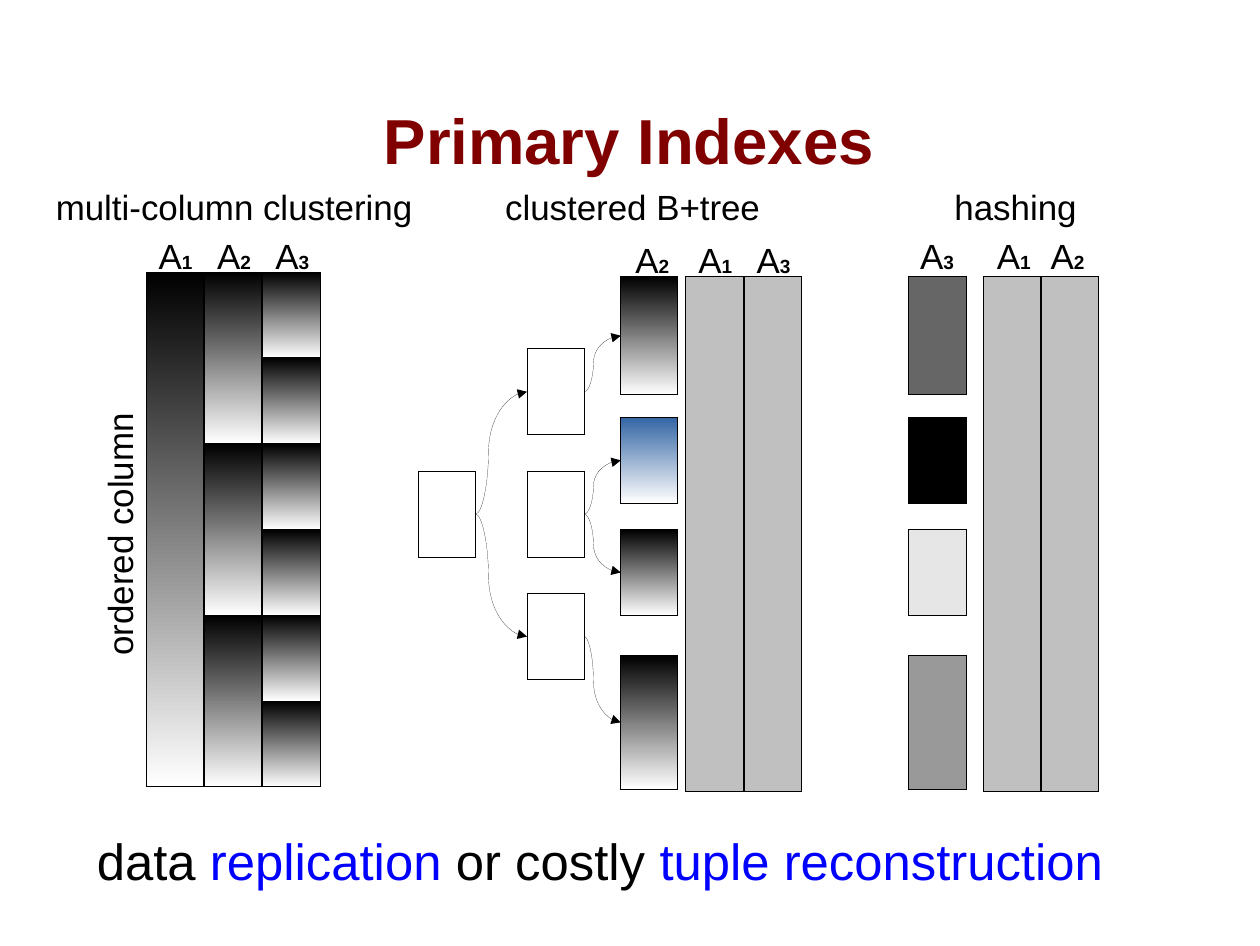
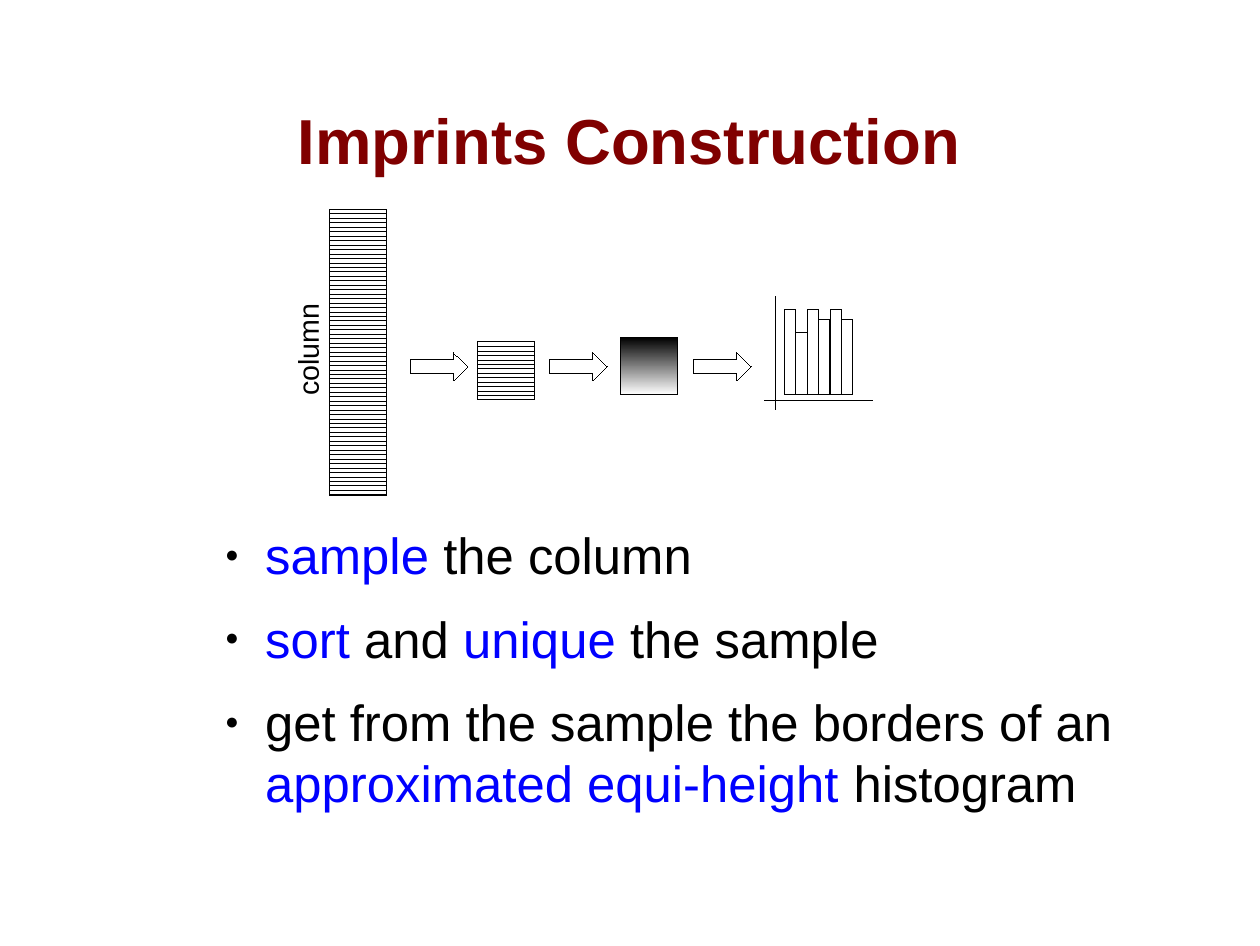
from lxml.etree import SubElement
from pptx import Presentation
from pptx.dml.color import RGBColor
from pptx.enum.dml import MSO_PATTERN_TYPE as PATTERN
from pptx.enum.shapes import MSO_CONNECTOR as CONN, MSO_SHAPE as SHAPE
from pptx.enum.text import MSO_ANCHOR as ANCHOR, MSO_AUTO_SIZE as AUTO, PP_ALIGN as ALIGN
from pptx.oxml.ns import qn
from pptx.util import Inches, Pt

FONT = "Arial"
BLACK, WHITE, MAROON, BLUE = "000000", "FFFFFF", "800000", "0000FF"
STEEL, SILVER = "3465A4", "C0C0C0"
HAIRLINE = Pt(0.01)
COL_W, COL_H, COL_STEP, NODE_H = 0.5, 4.5, 0.51, 0.75
BLOCKS = [(0, 1.03), (1.23, 0.75), (2.21, 0.75), (3.31, 1.17)]


def rgb(color):
    return RGBColor.from_string(color)


def style(r, size, color=BLACK, bold=False):
    r.font.name, r.font.size, r.font.bold = FONT, Pt(size), bold
    r.font.color.rgb = rgb(color)


def new_slide(prs, title):
    s = prs.slides.add_slide(prs.slide_layouts[5])
    sp = s.shapes.title
    sp.left, sp.top, sp.width, sp.height = map(Inches, (0.25, 0.53, 10.5, 1.38))
    tf = sp.text_frame
    tf.margin_left = tf.margin_right = tf.margin_top = tf.margin_bottom = 0
    tf.vertical_anchor, tf.auto_size = ANCHOR.MIDDLE, AUTO.NONE
    tf.text = title
    tf.paragraphs[0].alignment = ALIGN.CENTER
    style(tf.paragraphs[0].runs[0], 40, MAROON, True)
    return s


def thin(line):
    line.color.rgb = rgb(BLACK)
    line.width = HAIRLINE


def box(shapes, x, y, w, h, color=None, kind=SHAPE.RECTANGLE):
    sp = shapes.add_shape(kind, *map(Inches, (x, y, w, h)))
    sp.shadow.inherit = False
    thin(sp.line)
    if color:
        sp.fill.solid()
        sp.fill.fore_color.rgb = rgb(color)
    else:
        sp.fill.background()
    return sp


def ordered(s, x, y, h, color=BLACK):
    sp = box(s.shapes, x, y, COL_W, h)
    sp.fill.gradient()
    sp.fill.gradient_angle = 270
    for stop, shade, pos in zip(sp.fill.gradient_stops, (color, WHITE), (0, 1)):
        stop.color.rgb = rgb(shade)
        stop.position = pos
    return sp


def striped(s, x, y, h):
    sp = box(s.shapes, x, y, COL_W, h)
    sp.fill.patterned()
    sp.fill.pattern = PATTERN.HORIZONTAL
    sp.fill.fore_color.rgb = rgb(BLACK)
    sp.fill.back_color.rgb = rgb(WHITE)


def connector(shapes, kind, x1, y1, x2, y2):
    c = shapes.add_connector(kind, *map(Inches, (x1, y1, x2, y2)))
    thin(c.line)
    SubElement(c._element.spPr, qn("a:effectLst"))
    return c


def branch(s, parent, child):
    c = connector(s.shapes, CONN.CURVE, 0, 0, 1, 1)
    c.begin_connect(parent, 3)
    c.end_connect(child, 1)
    spPr = c._element.spPr
    geom = spPr.find(qn("a:prstGeom"))
    guides = geom.find(qn("a:avLst"))
    if guides is None:
        guides = SubElement(geom, qn("a:avLst"))
    SubElement(guides, qn("a:gd"), name="adj1", fmla="val 25000")
    SubElement(spPr.find(qn("a:ln")), qn("a:tailEnd"), type="triangle")


def caption(s, text, x, y, w, h=0.44, size=22, rotation=0):
    sp = s.shapes.add_textbox(*map(Inches, (x, y, w, h)))
    sp.rotation = rotation
    tf = sp.text_frame
    tf.word_wrap = False
    tf.auto_size = AUTO.SHAPE_TO_FIT_TEXT
    tf.text = text
    style(tf.paragraphs[0].runs[0], size)
    return tf


def attribute(s, number, x, y):
    r = caption(s, "A", x, y, 0.5).paragraphs[0].add_run()
    r.text = str(number)
    style(r, 12, bold=True)


def body(s, lines, x, y, w, h, bullets=False):
    tf = s.shapes.add_textbox(*map(Inches, (x, y, w, h))).text_frame
    tf.margin_left = tf.margin_right = tf.margin_top = tf.margin_bottom = 0
    tf.word_wrap = True
    for i, line in enumerate(lines):
        p = tf.add_paragraph() if i else tf.paragraphs[0]
        p.space_after = Pt(14.1)
        p.alignment = ALIGN.LEFT if bullets else ALIGN.CENTER
        for j, part in enumerate(line.split("*")):
            if part:
                r = p.add_run()
                r.text = part
                style(r, 32, BLUE if j % 2 else BLACK)
        if bullets:
            add_bullet(p)


def add_bullet(p):
    pPr = p._p.get_or_add_pPr()
    pPr.set("marL", str(Inches(0.35)))
    pPr.set("indent", str(-Inches(0.35)))
    SubElement(SubElement(pPr, qn("a:buClr")), qn("a:srgbClr"), val=BLACK)
    SubElement(pPr, qn("a:buSzPct"), val="45000")
    SubElement(pPr, qn("a:buFont"), typeface=FONT)
    SubElement(pPr, qn("a:buChar"), char="●")


def clustering(s, x, y):
    caption(s, "multi-column clustering", x - 0.89, y - 0.81, 3.33)
    caption(s, "ordered column", x - 1.41, y + 2.07, 2.32, rotation=270)
    for i, parts in enumerate((1, 3, 6)):
        left, h = x + i * COL_STEP, COL_H / parts
        for k in range(parts):
            ordered(s, left, y + k * h, h)
        attribute(s, i + 1, left + 0.01, y - 0.38)


def plain_columns(s, x, y):
    for i in range(2):
        box(s.shapes, x + i * COL_STEP, y, COL_W, COL_H, SILVER)


def btree(s, x, y):
    caption(s, "clustered B+tree", x + 0.66, y - 0.85, 2.43)
    root = box(s.shapes, x, y + 1.7, COL_W, NODE_H)
    nodes = [box(s.shapes, x + 0.95, y + 0.63 + i * 1.07, COL_W, NODE_H) for i in range(3)]
    leaves = [ordered(s, x + 1.77, y + dy, h, color)
              for (dy, h), color in zip(BLOCKS, (BLACK, STEEL, BLACK, BLACK))]
    for parent, child in ((root, nodes[0]), (root, nodes[2]),
                          *zip((nodes[0], nodes[1], nodes[1], nodes[2]), leaves)):
        branch(s, parent, child)
    plain_columns(s, x + 2.34, y)
    for number, dx in ((2, 1.8), (1, 2.35), (3, 2.86)):
        attribute(s, number, x + dx, y - 0.38)


def hashing(s, x, y):
    caption(s, "hashing", x + 0.3, y - 0.85, 1.27)
    for (dy, h), color in zip(BLOCKS, ("666666", BLACK, "E6E6E6", "999999")):
        box(s.shapes, x, y + dy, COL_W, h, color)
    plain_columns(s, x + 0.65, y)
    for number, dx in ((3, 0), (1, 0.67), (2, 1.14)):
        attribute(s, number, x + dx, y - 0.42)


def histogram(s, x, y):
    shapes = s.shapes.add_group_shape().shapes
    for i, h in enumerate((0.74, 0.54, 0.74, 0.66, 0.74, 0.66)):
        box(shapes, x + 0.17 + i * 0.1, y + 0.86 - h, 0.1, h)
    connector(shapes, CONN.STRAIGHT, x + 0.09, y, x + 0.09, y + 0.99)
    connector(shapes, CONN.STRAIGHT, x, y + 0.91, x + 0.94, y + 0.91)


def sampling(s, x, y):
    caption(s, "column", x - 0.71, y + 1.03, 1.02, 0.38, 18, 270)
    striped(s, x, y, 2.5)
    striped(s, x + 1.3, y + 1.16, 0.5)
    ordered(s, x + 2.55, y + 1.12, 0.5)
    for dx in (0.71, 1.93, 3.19):
        box(s.shapes, x + dx, y + 1.25, 0.5, 0.25, kind=SHAPE.RIGHT_ARROW)
    histogram(s, x + 3.81, y + 0.76)


def main():
    prs = Presentation()
    prs.slide_width, prs.slide_height = Inches(11.02), Inches(8.27)

    s = new_slide(prs, "Primary Indexes")
    clustering(s, 1.28, 2.38)
    btree(s, 3.66, 2.42)
    hashing(s, 7.95, 2.42)
    body(s, ["data *replication* or costly *tuple reconstruction*"], 0.25, 7.25, 10, 0.75)

    s = new_slide(prs, "Imprints Construction")
    sampling(s, 2.88, 1.83)
    body(s, ["*sample* the column",
             "*sort* and *unique* the sample",
             "get from the sample the borders of an *approximated equi-height* histogram"],
         1.97, 4.58, 8.2, 2.89, bullets=True)

    prs.save("out.pptx")


if __name__ == "__main__":
    main()
